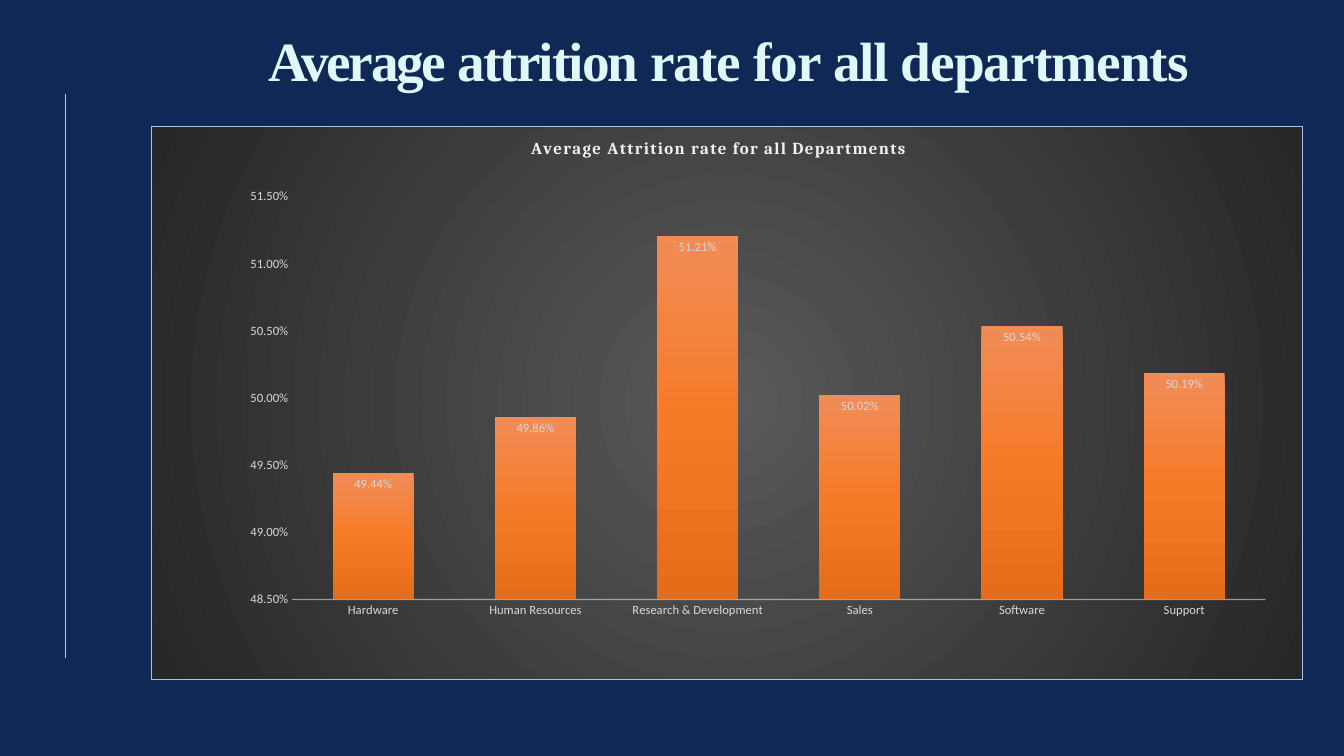
from dataclasses import dataclass

from lxml import etree
from pptx import Presentation
from pptx.chart.data import CategoryChartData
from pptx.dml.color import RGBColor
from pptx.enum.chart import XL_CHART_TYPE, XL_LABEL_POSITION, XL_TICK_MARK
from pptx.enum.shapes import MSO_CONNECTOR
from pptx.oxml import parse_xml
from pptx.oxml.ns import nsdecls, qn
from pptx.util import Inches, Pt

COLUMNS = XL_CHART_TYPE.COLUMN_CLUSTERED
INSIDE_END = XL_LABEL_POSITION.INSIDE_END
NO_TICK = XL_TICK_MARK.NONE
STRAIGHT = MSO_CONNECTOR.STRAIGHT


@dataclass(frozen=True)
class Theme:
    background: str = "0F2856"
    rule: str = "F6A6F4"
    heading: str = "DFF8FA"
    chart_title: str = "F2F2F2"
    label: str = "D9D9D9"
    axis: str = "F2F2F2"
    border: str = "ABC0E4"
    panel: tuple = ((0, "595959"), (100, "262626"))
    bar: tuple = ((0, "F18C57"), (50, "F67B28"), (100, "E56C19"))
    heading_font: str = "Times New Roman"
    title_font: str = "Cambria"
    body_font: str = "Calibri"
    heading_size: float = 39.5
    title_size: int = 12
    label_size: int = 9


THEME = Theme()
WIDTH, HEIGHT = 13.33, 7.5
HEADING = (("Average ", -1.7), ("attrition ", -1.4), ("rate ", -1.1),
           ("for ", -0.8), ("all ", -1.1), ("departments", -0.7))
ATTRITION = {"Hardware": 0.4944, "Human Resources": 0.4986,
             "Research & Development": 0.5121, "Sales": 0.5002,
             "Software": 0.5054, "Support": 0.5019}


def rgb(value):
    return RGBColor.from_string(value)


def style_font(font, name, size, color, bold=False):
    font.name, font.size, font.bold = name, Pt(size), bold
    font.color.rgb = rgb(color)


def gradient(stops, direction):
    """Return a gradFill element; direction is its a:lin or a:path markup."""
    marks = "".join(f'<a:gs pos="{pos * 1000}"><a:srgbClr val="{color}"/></a:gs>'
                    for pos, color in stops)
    return parse_xml(f'<a:gradFill {nsdecls("a")}><a:gsLst>{marks}</a:gsLst>'
                     f'{direction}</a:gradFill>')


def place(element, index, inner=False, **shares):
    """Give a chart part a manual layout in shares of the chart area."""
    for old in element.findall(qn("c:layout")):
        element.remove(old)
    layout = etree.Element(qn("c:layout"))
    manual = etree.SubElement(layout, qn("c:manualLayout"))
    settings = [("layoutTarget", "inner")] if inner else []
    settings += [("xMode", "edge"), ("yMode", "edge"), *shares.items()]
    for tag, value in settings:
        etree.SubElement(manual, qn(f"c:{tag}")).set("val", str(value))
    element.insert(index, layout)


def add_rule(slide, x, top, bottom):
    line = slide.shapes.add_connector(STRAIGHT, Inches(x), Inches(top),
                                      Inches(x), Inches(bottom))
    line.line.color.rgb = rgb(THEME.rule)
    line.line.width = Pt(0.5)
    etree.SubElement(line.element.spPr, qn("a:effectLst"))


def add_heading(slide, words, *box):
    tf = slide.shapes.add_textbox(*map(Inches, box)).text_frame
    tf.word_wrap = True
    tf.margin_left, tf.margin_top = Inches(1.93), Inches(0.33)
    tf.margin_right = tf.margin_bottom = 0
    p = tf.paragraphs[0]
    p.space_before = Pt(1.3)
    style_font(p.font, THEME.heading_font, THEME.heading_size, THEME.heading, True)
    for word, spacing in words:
        r = p.add_run()
        r.text = word
        r.font._element.set("spc", str(round(spacing * 100)))


def style_panel(chart):
    panel = parse_xml(
        f'<c:spPr {nsdecls("c", "a")}><a:ln w="{Pt(0.75)}"><a:solidFill>'
        f'<a:srgbClr val="{THEME.border}"/></a:solidFill></a:ln></c:spPr>')
    panel.insert(0, gradient(
        THEME.panel, '<a:path path="circle"><a:fillToRect l="50000" t="50000" '
                     'r="50000" b="50000"/></a:path>'))
    chart.element.find(qn("c:chart")).addnext(panel)


def style_title(chart, text):
    title = chart.chart_title
    p = title.text_frame.paragraphs[0]
    r = p.add_run()
    r.text = text
    style_font(r.font, THEME.title_font, THEME.title_size, THEME.chart_title, True)
    r.font._element.set("spc", "100")
    place(title._element, 1, x=0.327, y=0.015)


def style_axes(chart):
    for axis in (chart.category_axis, chart.value_axis):
        axis.major_tick_mark = axis.minor_tick_mark = NO_TICK
        axis.has_major_gridlines = False
        style_font(axis.tick_labels.font, THEME.body_font, THEME.label_size, THEME.label)
    line = chart.category_axis.format.line
    line.color.rgb = rgb(THEME.axis)
    line.width = Pt(1)
    color = next(chart.category_axis._element.find(qn("c:spPr")).iter(qn("a:srgbClr")))
    etree.SubElement(color, qn("a:alpha")).set("val", "54000")
    values = chart.value_axis
    values.format.line.fill.background()
    values.minimum_scale, values.maximum_scale = 0.485, 0.515
    values.major_unit = 0.005
    values.tick_labels.number_format = "0.00%"
    values.tick_labels.number_format_is_linked = False


def style_bars(plot):
    plot.gap_width, plot.overlap = 100, -24
    plot.vary_by_categories = False
    series = plot.series[0]
    series.format.line.fill.background()
    series._element.find(qn("c:spPr")).insert(
        0, gradient(THEME.bar, '<a:lin ang="5400000" scaled="0"/>'))
    labels = series.data_labels
    labels.show_value = True
    labels.position = INSIDE_END
    labels.number_format = "0.00%"
    labels.number_format_is_linked = False
    style_font(labels.font, THEME.body_font, THEME.label_size, THEME.label)


def add_column_chart(slide, title, rates, *box):
    data = CategoryChartData(number_format="0.00%")
    data.categories = list(rates)
    data.add_series("Series 1", list(rates.values()))
    chart = slide.shapes.add_chart(COLUMNS, *map(Inches, box), data).chart
    chart.has_legend = False
    chart.font.name, chart.font.size = THEME.body_font, Pt(10)
    style_panel(chart)
    style_title(chart, title)
    style_axes(chart)
    style_bars(chart.plots[0])
    plot_area = chart.element.find(qn("c:chart")).find(qn("c:plotArea"))
    place(plot_area, 0, inner=True, x=0.122, y=0.127, w=0.846, h=0.728)


def main():
    prs = Presentation()
    prs.slide_width, prs.slide_height = Inches(WIDTH), Inches(HEIGHT)
    slide = prs.slides.add_slide(prs.slide_layouts[6])
    fill = slide.background.fill
    fill.solid()
    fill.fore_color.rgb = rgb(THEME.background)
    add_rule(slide, 0.65, HEIGHT / 8, HEIGHT * 0.87)
    add_heading(slide, HEADING, 0.73, -0.07, 11.88, 1.76)
    add_column_chart(slide, "Average Attrition rate for all Departments", ATTRITION,
                     1.5, HEIGHT / 6, 11.42, 5.5)
    prs.save("out.pptx")


if __name__ == "__main__":
    main()
